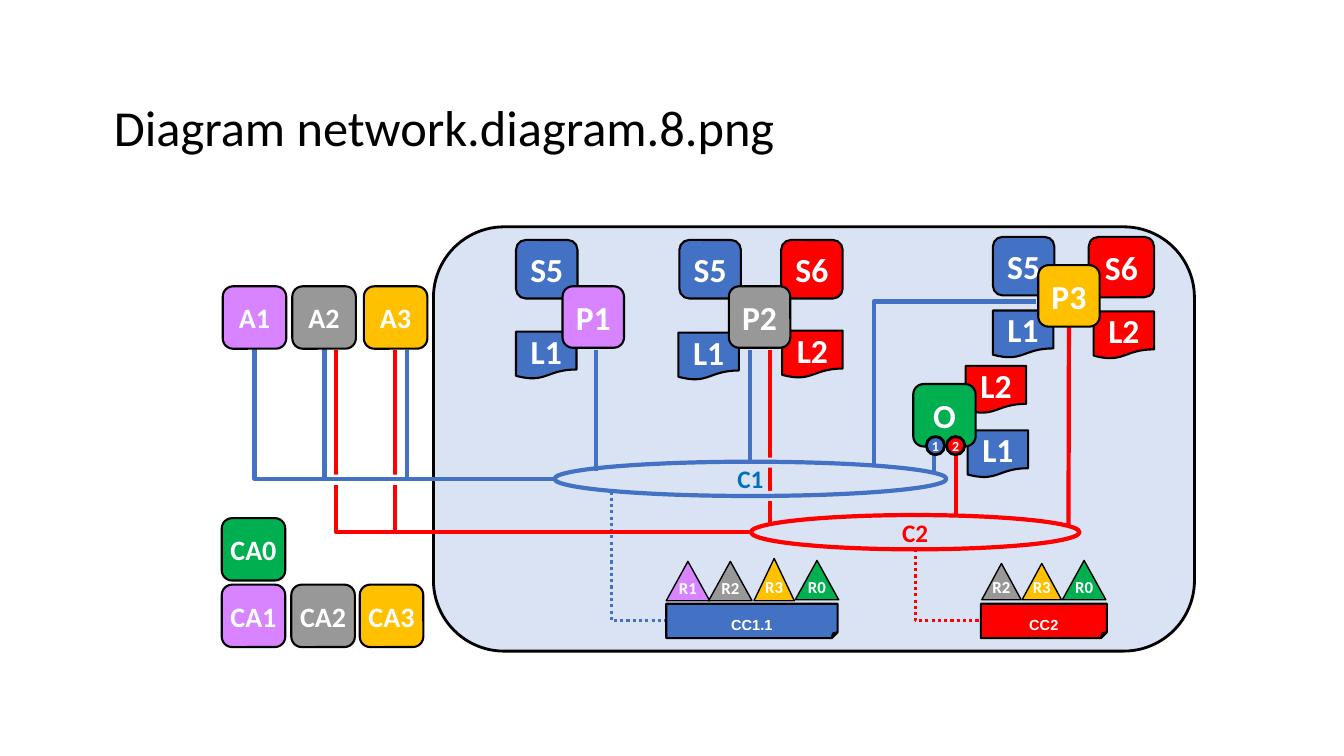
from pptx import Presentation
from pptx.dml.color import RGBColor
from pptx.enum.dml import MSO_LINE
from pptx.enum.shapes import MSO_CONNECTOR as CONN, MSO_SHAPE as SHAPE
from pptx.enum.text import MSO_ANCHOR, PP_ALIGN
from pptx.oxml.ns import qn
from pptx.util import Pt
from lxml import etree

BLACK = RGBColor(0x00, 0x00, 0x00)
WHITE = RGBColor(0xFF, 0xFF, 0xFF)
PANEL = RGBColor(0xDA, 0xE3, 0xF3)
BLUE = RGBColor(0x43, 0x72, 0xC4)
LABEL_BLUE = RGBColor(0x00, 0x70, 0xC0)
RED = RGBColor(0xFF, 0x00, 0x00)
PURPLE = RGBColor(0xD8, 0x83, 0xFF)
GREY = RGBColor(0x98, 0x98, 0x98)
YELLOW = RGBColor(0xFF, 0xC0, 0x00)
GREEN = RGBColor(0x00, 0xB0, 0x50)

prs = Presentation()
prs.slide_width, prs.slide_height = Pt(960), Pt(540)
s = prs.slides.add_slide(prs.slide_layouts[6])


def add_box(kind, x, y, w, h, fill=None, line=BLACK, width=1.5, text="", size=24,
            color=WHITE, font="Calibri", bottom=3.6):
    sp = s.shapes.add_shape(kind, Pt(x), Pt(y), Pt(w), Pt(h))
    sp.shadow.inherit = False
    if fill is None:
        sp.fill.background()
    else:
        sp.fill.solid()
        sp.fill.fore_color.rgb = fill
    if line is None:
        sp.line.fill.background()
    else:
        sp.line.color.rgb = line
        sp.line.width = Pt(width)
    if text:
        tf = sp.text_frame
        tf.word_wrap = True
        tf.vertical_anchor = MSO_ANCHOR.MIDDLE
        tf.margin_left = tf.margin_right = 0
        tf.margin_top, tf.margin_bottom = Pt(3.6), Pt(bottom)
        p = tf.paragraphs[0]
        p.alignment = PP_ALIGN.CENTER
        r = p.add_run()
        r.text = text
        r.font.name, r.font.size, r.font.bold = font, Pt(size), True
        r.font.color.rgb = color
    return sp


def add_wire(x1, y1, x2, y2, color, width=3, kind=CONN.STRAIGHT, dotted=False):
    """Straight line, or an elbow that goes down then right, or left then down."""
    down_first = kind == CONN.ELBOW and x2 > x1
    if down_first:
        # A quarter turn swaps the box sides around the same centre
        cx, cy, dx, dy = (x1 + x2) / 2, (y1 + y2) / 2, x2 - x1, y2 - y1
        x1, x2, y1, y2 = cx + dy / 2, cx - dy / 2, cy - dx / 2, cy + dx / 2
    c = s.shapes.add_connector(kind, Pt(x1), Pt(y1), Pt(x2), Pt(y2))
    c.line.color.rgb = color
    c.line.width = Pt(width)
    if dotted:
        c.line.dash_style = MSO_LINE.ROUND_DOT
    spPr = c._element.spPr
    if kind == CONN.ELBOW:
        spPr.find(qn("a:prstGeom")).set("prst", "bentConnector2")
    if down_first:
        spPr.find(qn("a:xfrm")).set("rot", "16200000")
    etree.SubElement(spPr, qn("a:effectLst"))
    return c


# Network panel
add_box(SHAPE.ROUNDED_RECTANGLE, 309.6, 162, 543.6, 303.1, PANEL, width=2)

# Title
tf = s.shapes.add_textbox(Pt(77.8), Pt(41), Pt(828), Pt(104.4)).text_frame
tf.word_wrap = True
tf.vertical_anchor = MSO_ANCHOR.MIDDLE
tf.margin_left = tf.margin_right = Pt(3.6)
p = tf.paragraphs[0]
p.line_spacing = 0.9
r = p.add_run()
r.text = "Diagram network.diagram.8.png"
r.font.name, r.font.size = "Calibri", Pt(36)
r.font.color.rgb = BLACK

# Dotted links from channels to their configurations
add_wire(437, 351, 476, 443.5, BLUE, 2.25, CONN.ELBOW, True)
add_wire(653.8, 392.4, 700.6, 443.5, RED, 2.25, CONN.ELBOW, True)

# Red wires into C2
for x in (240.2, 282.2):
    add_wire(x, 250, 536.4, 380.2, RED, kind=CONN.ELBOW)
add_wire(682.6, 324.7, 682.6, 367.9, RED)
add_wire(550.1, 249.8, 550.1, 374.4, RED)
p3_wire = add_wire(763.9, 233.3, 763.2, 376.6, RED)

# Gaps where red wires pass under blue ones
for x, y, fill in ((278.6, 339.1, WHITE), (234.7, 339.1, WHITE),
                   (547.2, 326.9, PANEL), (547.2, 350.6, PANEL)):
    add_box(SHAPE.RECTANGLE, x, y, 7.2, 7.2, fill, None)

# Blue wires into C1
for x in (181.8, 231.8):
    add_wire(x, 249.1, 396, 342, BLUE, kind=CONN.ELBOW)
add_wire(740.2, 215.3, 624.2, 331.9, BLUE, kind=CONN.ELBOW)
for x, top, bottom in ((290.9, 249.8, 340.6), (425.5, 249.8, 336.2),
                       (536, 249.8, 329.8), (667.4, 324.7, 337.7)):
    add_wire(x, top, x, bottom, BLUE)

# Channels
for x, y, w, line, color, name in ((396, 329.8, 280.1, BLUE, LABEL_BLUE, "C1"),
                                   (536.4, 367.9, 234.7, RED, RED, "C2")):
    add_box(SHAPE.OVAL, x, y, w, 24.5, None, line, 3, name, 18, color)

# Ledgers
for x, y, name in ((368.6, 236.9, "L1"), (484.6, 237.6, "L1"), (558.7, 236.2, "L2"),
                   (709.2, 221.8, "L1"), (781.2, 222.5, "L2"), (691.2, 307.4, "L1"),
                   (689.8, 261.4, "L2")):
    add_box(SHAPE.FLOWCHART_DOCUMENT, x, y, 43.2, 33.8,
            BLUE if name == "L1" else RED, text=name)

# Smart contracts
for x, y, w, h, name in ((368.6, 171.4, 43.9, 41.8, "S5"), (485.3, 171.4, 43.9, 41.8, "S5"),
                         (558, 171.4, 43.9, 41.8, "S6"), (709.2, 169.2, 43.9, 41.8, "S5"),
                         (777.6, 169.2, 46.8, 43.2, "S6")):
    add_box(SHAPE.ROUNDED_RECTANGLE, x, y, w, h,
            BLUE if name == "S5" else RED, text=name)

# Peers and orderer
nodes = {}
for x, y, side, fill, name in ((401.8, 204.5, 43.9, PURPLE, "P1"), (520.6, 204.5, 43.9, GREY, "P2"),
                               (741.6, 189.4, 43.9, YELLOW, "P3"), (652.3, 274.3, 44.6, GREEN, "O")):
    nodes[name] = add_box(SHAPE.ROUNDED_RECTANGLE, x, y, side, side, fill, text=name)
p3_wire.begin_connect(nodes["P3"], 2)

# Orderer ports
for x, fill, name in ((676.1, RED, "2"), (661.7, BLUE, "1")):
    add_box(SHAPE.OVAL, x, 311.8, 13, 13, fill, width=2, text=name, size=10)

# Applications and certificate authorities
for x, y, fill, name in ((159.1, 204.5, PURPLE, "A1"), (208.8, 204.5, GREY, "A2"),
                         (259.9, 204.5, YELLOW, "A3"), (158.4, 370.1, GREEN, "CA0"),
                         (158.4, 417.6, PURPLE, "CA1"), (208.1, 417.6, GREY, "CA2"),
                         (257, 417.6, YELLOW, "CA3")):
    add_box(SHAPE.ROUNDED_RECTANGLE, x, y, 45.4, 44.6, fill, text=name, size=20)

# Channel configurations
for x, w, fill, name in ((475.9, 122.4, BLUE, "CC1.1"), (700.6, 90, RED, "CC2")):
    sp = add_box(SHAPE.FOLDED_CORNER, x, 431.3, w, 24.5, fill, text=name, size=18,
                 font="Arial", bottom=5.8)
    r = sp.text_frame.paragraphs[0].runs[0]
    r._r.get_or_add_rPr().set("baseline", "-25000")

# Organisations in each configuration
ORG_FILLS = {"R0": GREEN, "R1": PURPLE, "R2": GREY, "R3": YELLOW}
for x, y, w, h, name in ((475.9, 401, 31, 28.1, "R1"), (506.2, 401, 31, 28.1, "R2"),
                         (538.6, 398.9, 28.8, 30.2, "R3"), (568.1, 400.3, 31, 28.1, "R0"),
                         (701.3, 402.5, 28.1, 25.9, "R2"), (730.1, 402.5, 28.1, 25.9, "R3"),
                         (758.9, 400.3, 31, 28.1, "R0")):
    add_box(SHAPE.ISOSCELES_TRIANGLE, x, y, w, h, ORG_FILLS[name], width=1,
            text=name, size=12, bottom=8.6)

prs.save("out.pptx")
